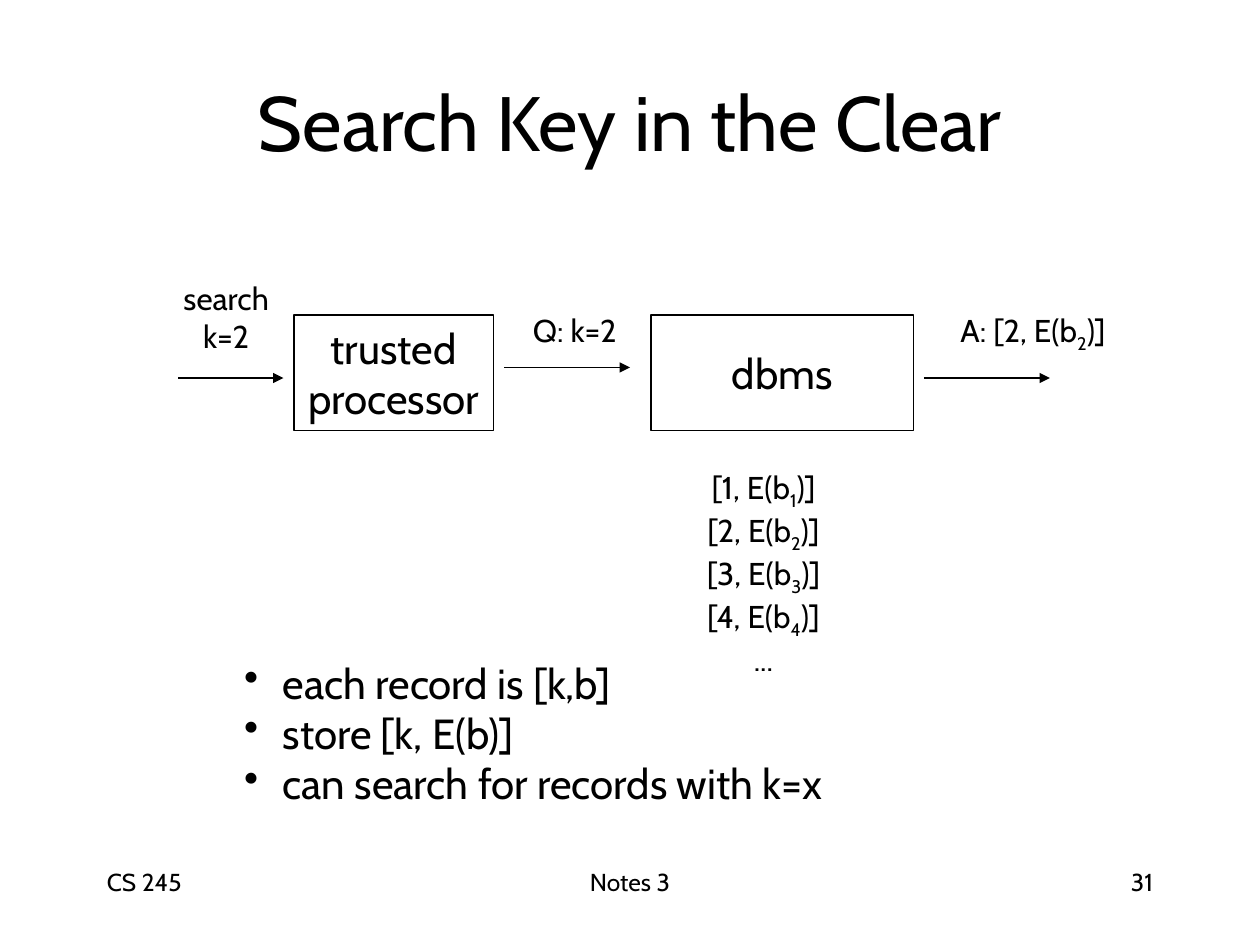
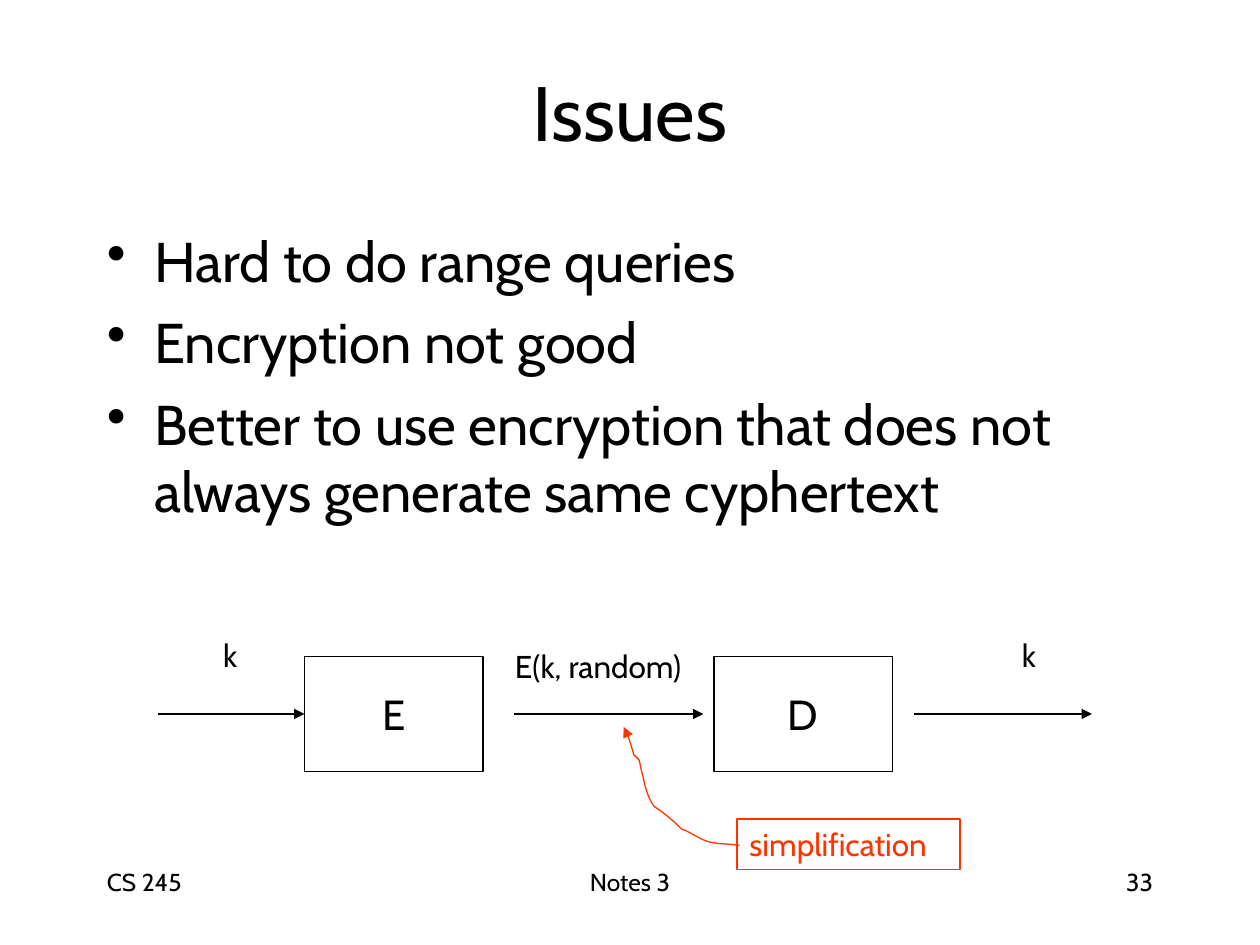
import dataclasses

import lxml.etree
import pptx
import pptx.dml.color
import pptx.enum.shapes
import pptx.enum.text
import pptx.oxml.ns
import pptx.util

Pt = pptx.util.Pt
Align = pptx.enum.text.PP_ALIGN
Anchor = pptx.enum.text.MSO_ANCHOR
qn = pptx.oxml.ns.qn


@dataclasses.dataclass(frozen=True)
class Theme:
    font: str = "Cabin"
    ink: str = "000000"
    paper: str = "FFFFFF"
    accent: str = "FF3300"
    title: float = 44
    body: float = 32
    node: float = 24
    label: float = 18
    footer: float = 14
    line: float = 0.75


THEME = Theme()
CURVE_STEPS = 8


def rgb(value):
    return pptx.dml.color.RGBColor.from_string(value)


def add_runs(paragraph, text):
    start, mark, rest = text.partition("_")
    paragraph.add_run().text = start
    if mark:
        subscript = paragraph.add_run()
        subscript.text = rest[0]
        subscript.font._element.set("baseline", "-25000")
        paragraph.add_run().text = rest[1:]


def add_bullet(paragraph, indent):
    properties = paragraph._p.get_or_add_pPr()
    properties.set("marL", str(Pt(indent)))
    properties.set("indent", str(-Pt(indent)))
    bullet = lxml.etree.Element(qn("a:buChar"), char="•")
    properties.insert_element_before(bullet, "a:tabLst", "a:defRPr", "a:extLst")


def write_text(shape, lines, size, align=Align.CENTER, anchor=Anchor.TOP,
               color=THEME.ink, space_before=0, indent=0):
    frame = shape.text_frame
    frame.word_wrap = align != Align.CENTER
    frame.vertical_anchor = anchor
    for index, line in enumerate(lines):
        paragraph = frame.add_paragraph() if index else frame.paragraphs[0]
        paragraph.alignment = align
        paragraph.space_before = Pt(space_before)
        paragraph.font.name = THEME.font
        paragraph.font.size = Pt(size)
        paragraph.font.color.rgb = rgb(color)
        if indent:
            add_bullet(paragraph, indent)
        add_runs(paragraph, line)


def add_text(slide, box, lines, size, **style):
    shape = slide.shapes.add_textbox(*map(Pt, box))
    write_text(shape, lines, size, **style)


def style_line(line, color=THEME.ink):
    line.color.rgb = rgb(color)
    line.width = Pt(THEME.line)


def add_arrowhead(line):
    lxml.etree.SubElement(line._get_or_add_ln(), qn("a:tailEnd"), type="triangle")


def add_node(slide, box, lines):
    shape = slide.shapes.add_shape(pptx.enum.shapes.MSO_SHAPE.RECTANGLE, *map(Pt, box))
    shape.shadow.inherit = False
    shape.fill.solid()
    shape.fill.fore_color.rgb = rgb(THEME.paper)
    style_line(shape.line)
    write_text(shape, lines, THEME.node, anchor=Anchor.MIDDLE)


def add_arrow(slide, start, end, y):
    arrow = slide.shapes.add_connector(
        pptx.enum.shapes.MSO_CONNECTOR.STRAIGHT, Pt(start), Pt(y), Pt(end), Pt(y))
    style_line(arrow.line)
    add_arrowhead(arrow.line)
    lxml.etree.SubElement(arrow._element.spPr, qn("a:effectLst"))


def add_flow(slide, left, top, nodes, arrows, labels):
    for x, width, lines in nodes:
        add_node(slide, (left + x, top, width, 66), lines)
    for start, end, y in arrows:
        add_arrow(slide, left + start, left + end, top + y)
    for x, y, width, height, lines in labels:
        add_text(slide, (left + x, top + y, width, height), lines, THEME.label)


def curve_points(controls):
    points = [controls[0]]
    for first in range(0, len(controls) - 1, 3):
        a, b, c, d = controls[first:first + 4]
        for step in range(1, CURVE_STEPS + 1):
            t = step / CURVE_STEPS
            u = 1 - t
            points.append(tuple(
                u ** 3 * p + 3 * u * u * t * q + 3 * u * t * t * r + t ** 3 * s
                for p, q, r, s in zip(a, b, c, d)))
    return points


def add_callout(slide, left, top, width, height, text, pointer):
    box = slide.shapes.add_textbox(Pt(left), Pt(top), Pt(width), Pt(height))
    style_line(box.line, THEME.accent)
    write_text(box, [text], THEME.label, align=Align.LEFT, color=THEME.accent)
    start, *rest = [(Pt(left + x), Pt(top + y)) for x, y in curve_points(pointer)]
    builder = slide.shapes.build_freeform(*start)
    builder.add_line_segments(rest, close=False)
    curve = builder.convert_to_shape()
    curve.shadow.inherit = False
    curve.fill.background()
    style_line(curve.line, THEME.accent)
    add_arrowhead(curve.line)


def add_base_slide(presentation, title, title_height, number):
    slide = presentation.slides.add_slide(presentation.slide_layouts[6])
    add_text(slide, (54, 24, 612, title_height), [title], THEME.title, anchor=Anchor.MIDDLE)
    for left, width, text, align in (
        (54, 150, "CS 245", Align.LEFT),
        (246, 228, "Notes 3", Align.CENTER),
        (516, 150, number, Align.RIGHT),
    ):
        add_text(slide, (left, 492, width, 36), [text], THEME.footer, align=align)
    return slide


def add_search_slide(presentation):
    slide = add_base_slide(presentation, "Search Key in the Clear", 90, "31")
    records = [f"[{key}, E(b_{key})]" for key in range(1, 5)] + ["..."]
    add_flow(
        slide, 102, 180,
        nodes=[(66, 114, ["trusted", "processor"]), (270, 150, ["dbms"])],
        arrows=[(0, 60, 36), (186, 258, 30), (426, 498, 36)],
        labels=[
            (-8, -24, 70.5, 50, ["search", "k=2"]),
            (192.5, -6, 68, 29, ["Q: k=2"]),
            (436, -6, 104.5, 32, ["A: [2, E(b_2)]"]),
            (292.5, 84, 83.5, 127.5, records),
        ])
    bullets = ["each record is [k,b]", "store [k, E(b)]", "can search for records with k=x"]
    add_text(slide, (132.5, 372, 381.5, 94), bullets, THEME.node, align=Align.LEFT, indent=22)


def add_issues_slide(presentation):
    slide = add_base_slide(presentation, "Issues", 78, "33")
    issues = ["Hard to do range queries", "Encryption not good",
              "Better to use encryption that does not always generate same cyphertext"]
    add_text(slide, (54, 126, 612, 186), issues, THEME.body,
             align=Align.LEFT, space_before=8, indent=27)
    add_flow(
        slide, 90, 375,
        nodes=[(84, 102, ["E"]), (318, 102, ["D"])],
        arrows=[(0, 84, 33), (204, 312, 33), (432, 534, 33)],
        labels=[
            (29.5, -15, 24, 29, ["k"]),
            (191, -9, 121.5, 29, ["E(k, random)"]),
            (486, -15, 24, 29, ["k"]),
        ])
    pointer = [
        (1.4, 15.1), (-3.6, 14.4), (-8.6, 14.4), (-13, 13.7),
        (-20.2, 13), (-25.2, 7.9), (-31.7, 5.8),
        (-36, 1.4), (-41.8, -3.6), (-47.5, -7.2),
        (-51.1, -12.2), (-52.6, -18.7), (-54, -25.2),
        (-56.9, -35.3), (-54, -31.7), (-59, -36.7),
        (-60.5, -41.8), (-61.9, -47.5), (-64.8, -52.6),
    ]
    add_callout(slide, 421.2, 468, 127.5, 29, "simplification", pointer)


def main():
    presentation = pptx.Presentation()
    presentation.slide_width = Pt(720)
    presentation.slide_height = Pt(540)
    add_search_slide(presentation)
    add_issues_slide(presentation)
    presentation.save("out.pptx")


if __name__ == "__main__":
    main()
